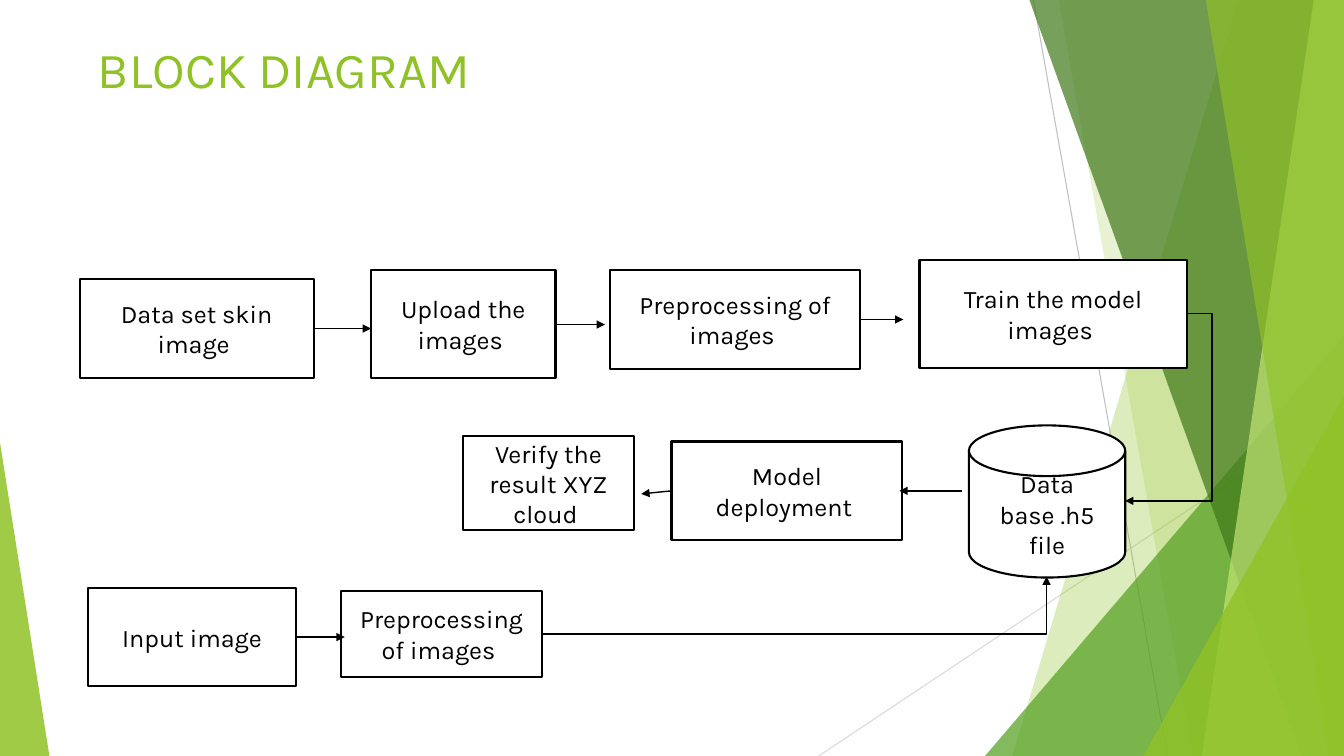
import typing

import lxml.etree
import pptx
import pptx.dml.color
import pptx.enum.dml
import pptx.enum.shapes
import pptx.enum.text
import pptx.oxml.ns
import pptx.shapes.autoshape
import pptx.shapes.connector
import pptx.slide
import pptx.text.text
import pptx.util

RGBColor = pptx.dml.color.RGBColor
Shape = pptx.shapes.autoshape.Shape
Connector = pptx.shapes.connector.Connector
Preset = pptx.enum.shapes.MSO_SHAPE
Straight = pptx.enum.shapes.MSO_CONNECTOR.STRAIGHT
Elbow = pptx.enum.shapes.MSO_CONNECTOR.ELBOW
qn = pptx.oxml.ns.qn

EMU_PER_PX = 9144  # 100 px to the inch
SLIDE_WIDTH, SLIDE_HEIGHT = 1333, 750
FONT = "Karla"

WHITE = RGBColor(0xFF, 0xFF, 0xFF)
BLACK = RGBColor(0x00, 0x00, 0x00)
LIME = RGBColor(0x90, 0xC2, 0x26)
PALE_LIME = RGBColor(0xC0, 0xE4, 0x74)
GREEN = RGBColor(0x54, 0xA0, 0x21)
DARK_GREEN = RGBColor(0x3F, 0x78, 0x19)
GREY = RGBColor(0xBF, 0xBF, 0xBF)
LIGHT_GREY = RGBColor(0xD9, 0xD9, 0xD9)

Point = tuple[int, int]


class Hairline(typing.NamedTuple):
    start: Point
    end: Point
    color: RGBColor


class Band(typing.NamedTuple):
    """A see-through strip that runs from its slanted left side to the right edge."""
    top_x: int
    bottom_x: int
    color: RGBColor
    opacity: int


class Wedge(typing.NamedTuple):
    left: int
    top: int
    width: int
    apex: float
    color: RGBColor
    opacity: int


class Step(typing.NamedTuple):
    label: str
    left: int
    top: int
    width: int
    height: int
    preset: Preset = Preset.RECTANGLE


class Arrow(typing.NamedTuple):
    start: Point
    end: Point
    bend: str = ""
    bend_at: int = 0  # in thousandths of a percent of the width


HAIRLINES = [
    Hairline((1025, 0), (1158, 750), GREY),
    Hairline((1333, 403), (812, 750), LIGHT_GREY),
]
# Listed from back to front
DECORATION = [
    Band(1228, 1004, LIME, 30),
    Band(1050, 1183, LIME, 20),
    Wedge(977, 333, 356, 1, GREEN, 72),
    Band(1021, 1291, DARK_GREEN, 70),
    Band(1303, 1192, PALE_LIME, 70),
    Band(1196, 1318, LIME, 65),
    Wedge(1134, 393, 199, 1, LIME, 80),
    Wedge(0, 439, 49, 0, LIME, 85),
]
STEPS = [
    Step("Data set skin image ", 79, 277, 232, 98),
    Step("Upload the images ", 368, 268, 183, 107),
    Step("Preprocessing of images ", 605, 268, 248, 98),
    Step("Train the model images ", 912, 258, 265, 107),
    Step("Data base .h5 file", 961, 422, 155, 151, Preset.FLOWCHART_MAGNETIC_DISK),
    Step("Model deployment ", 666, 438, 229, 98),
    Step("Verify the result XYZ cloud ", 459, 433, 170, 93),
    Step("Input image", 87, 583, 207, 98),
    Step("Preprocessing of images ", 338, 586, 200, 86),
]
ARROWS = [
    Arrow((310, 326), (368, 326)),
    Arrow((551, 322), (600, 322)),
    Arrow((853, 317), (896, 317)),
    Arrow((1177, 311), (1116, 497), "bentConnector3", -41100),
    Arrow((954, 487), (892, 487)),
    Arrow((666, 487), (636, 490)),
    Arrow((294, 632), (342, 632)),
    Arrow((538, 629), (1038, 572), "bentConnector2"),
]


def px(length: int) -> pptx.util.Emu:
    return pptx.util.Emu(length * EMU_PER_PX)


def add_run(paragraph: pptx.text.text._Paragraph, text: str, size: int, color: RGBColor) -> None:
    run = paragraph.add_run()
    run.text = text
    run.font.name = FONT
    run.font.size = pptx.util.Pt(size)
    run.font.color.rgb = color


def fill_translucent(shape: Shape, color: RGBColor, opacity: int) -> None:
    shape.shadow.inherit = False
    shape.line.fill.background()
    shape.fill.solid()
    shape.fill.fore_color.rgb = color
    color_node = shape.fill._xPr.find(qn("a:solidFill"))[0]
    lxml.etree.SubElement(color_node, qn("a:alpha"), val=str(opacity * 1000))


def add_line(slide: pptx.slide.Slide, kind: pptx.enum.shapes.MSO_CONNECTOR,
             start: Point, end: Point, color: RGBColor, weight: float) -> Connector:
    line = slide.shapes.add_connector(kind, *map(px, start + end))
    line.line.color.rgb = color
    line.line.width = pptx.util.Pt(weight)
    lxml.etree.SubElement(line._element.spPr, qn("a:effectLst"))
    return line


def add_band(slide: pptx.slide.Slide, band: Band) -> None:
    outline = slide.shapes.build_freeform(band.top_x, 0, EMU_PER_PX)
    outline.add_line_segments([
        (SLIDE_WIDTH, 0), (SLIDE_WIDTH, SLIDE_HEIGHT), (band.bottom_x, SLIDE_HEIGHT),
    ])
    fill_translucent(outline.convert_to_shape(), band.color, band.opacity)


def add_wedge(slide: pptx.slide.Slide, wedge: Wedge) -> None:
    triangle = slide.shapes.add_shape(
        Preset.ISOSCELES_TRIANGLE, px(wedge.left), px(wedge.top),
        px(wedge.width), px(SLIDE_HEIGHT - wedge.top))
    triangle.adjustments[0] = wedge.apex
    fill_translucent(triangle, wedge.color, wedge.opacity)


def add_step(slide: pptx.slide.Slide, step: Step) -> None:
    box = slide.shapes.add_shape(
        step.preset, px(step.left), px(step.top), px(step.width), px(step.height))
    box.shadow.inherit = False
    box.fill.solid()
    box.fill.fore_color.rgb = WHITE
    box.line.color.rgb = BLACK
    box.line.width = pptx.util.Pt(1.5)
    box.text_frame.word_wrap = True
    box.text_frame.vertical_anchor = pptx.enum.text.MSO_ANCHOR.MIDDLE
    paragraph = box.text_frame.paragraphs[0]
    paragraph.alignment = pptx.enum.text.PP_ALIGN.CENTER
    add_run(paragraph, step.label, 18, BLACK)


def add_arrow(slide: pptx.slide.Slide, arrow: Arrow) -> None:
    kind = Elbow if arrow.bend else Straight
    connector = add_line(slide, kind, arrow.start, arrow.end, BLACK, 1)
    lxml.etree.SubElement(connector.line._get_or_add_ln(), qn("a:tailEnd"), type="triangle")
    if arrow.bend:
        geometry = connector._element.spPr.find(qn("a:prstGeom"))
        geometry.set("prst", arrow.bend)
        if arrow.bend_at:
            lxml.etree.SubElement(geometry.find(qn("a:avLst")), qn("a:gd"),
                                  name="adj1", fmla=f"val {arrow.bend_at}")


def set_title(slide: pptx.slide.Slide, text: str) -> None:
    title = slide.shapes.title
    title.left, title.top, title.width, title.height = map(px, (87, 33, 940, 144))
    frame = title.text_frame
    frame.word_wrap = True
    frame.auto_size = pptx.enum.text.MSO_AUTO_SIZE.NONE
    frame.vertical_anchor = pptx.enum.text.MSO_ANCHOR.TOP
    frame.paragraphs[0].alignment = pptx.enum.text.PP_ALIGN.LEFT
    add_run(frame.paragraphs[0], text, 36, LIME)


def main() -> None:
    deck = pptx.Presentation()
    deck.slide_width, deck.slide_height = px(SLIDE_WIDTH), px(SLIDE_HEIGHT)
    slide = deck.slides.add_slide(deck.slide_layouts.get_by_name("Title Only"))
    set_title(slide, "BLOCK DIAGRAM")
    for hairline in HAIRLINES:
        add_line(slide, Straight, hairline.start, hairline.end, hairline.color, 0.75)
    for part in DECORATION:
        if isinstance(part, Band):
            add_band(slide, part)
        else:
            add_wedge(slide, part)
    for step in STEPS:
        add_step(slide, step)
    for arrow in ARROWS:
        add_arrow(slide, arrow)
    deck.save("out.pptx")


if __name__ == "__main__":
    main()
